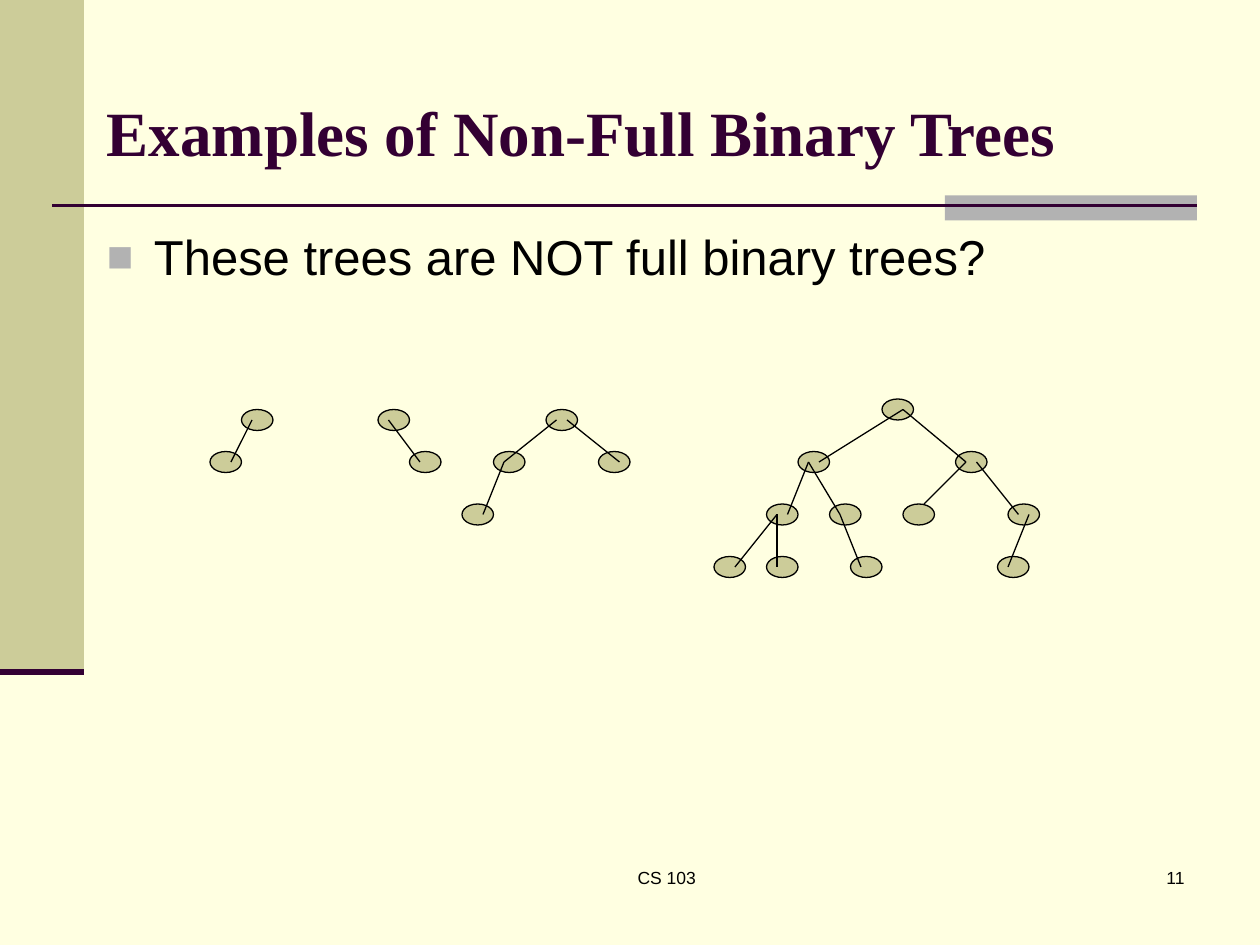
from typing import NamedTuple

from lxml.etree import SubElement
from pptx import Presentation
from pptx.dml.color import RGBColor
from pptx.enum.shapes import MSO_CONNECTOR as Link, MSO_SHAPE as Form
from pptx.enum.text import MSO_ANCHOR as Anchor, PP_ALIGN as Align
from pptx.oxml.ns import qn
from pptx.util import Cm, Pt

GRID = 2.54 / 12  # the layout sits on a grid of twelve steps to the inch
CREAM, KHAKI, GREY = "FFFFE1", "CCCC99", "B2B2B2"
PLUM, BLACK = "330033", "000000"


class Node(NamedTuple):
    x: float
    y: float


class Edge(NamedTuple):
    x1: float
    y1: float
    x2: float
    y2: float


class Tree(NamedTuple):
    nodes: list[Node]
    edges: list[Edge]


TREES = [
    Tree([Node(23, 39), Node(20, 43)], [Edge(24, 40, 22, 44)]),
    Tree([Node(36, 39), Node(39, 43)], [Edge(37, 40, 40, 44)]),
    Tree(
        [Node(52, 39), Node(47, 43), Node(57, 43), Node(44, 48)],
        [Edge(53, 40, 48, 44), Edge(48, 44, 46, 49), Edge(54, 40, 59, 44)],
    ),
    Tree(
        [Node(84, 38), Node(76, 43), Node(91, 43),
         Node(73, 48), Node(79, 48), Node(86, 48), Node(96, 48),
         Node(68, 53), Node(73, 53), Node(81, 53), Node(95, 53)],
        [Edge(86, 39, 78, 44), Edge(86, 39, 92, 44),
         Edge(77, 44, 75, 49), Edge(77, 44, 80, 49),
         Edge(92, 44, 88, 48), Edge(93, 44, 97, 49),
         Edge(74, 49, 70, 54), Edge(74, 49, 74, 54),
         Edge(80, 49, 82, 54), Edge(98, 49, 96, 54)],
    ),
]


def grid(*steps: float) -> list[Cm]:
    return [Cm(step * GRID) for step in steps]


def paint(part, color: str) -> None:
    """Give a fill or a line one solid colour."""
    part.solid()
    part.fore_color.rgb = RGBColor.from_string(color)


def add_form(slide, form, box: tuple, fill: str, line: str | None = None):
    shape = slide.shapes.add_shape(form, *grid(*box))
    shape.shadow.inherit = False
    paint(shape.fill, fill)
    if line:
        paint(shape.line.fill, line)
        shape.line.width = Pt(0.75)
    else:
        shape.line.fill.background()
    return shape


def add_line(slide, edge: Edge, color: str = BLACK, width: float = 0.75):
    line = slide.shapes.add_connector(Link.STRAIGHT, *grid(*edge))
    paint(line.line.fill, color)
    line.line.width = Pt(width)
    SubElement(line._element.spPr, qn("a:effectLst"))
    return line


def add_text(slide, text: str, box: tuple, *, size: float, font: str = "Arial",
             color: str = BLACK, bold: bool = False, align=Align.LEFT,
             anchor=Anchor.TOP, before: float = 0):
    frame = slide.shapes.add_textbox(*grid(*box)).text_frame
    frame.word_wrap = True
    frame.vertical_anchor = anchor
    para = frame.paragraphs[0]
    para.alignment = align
    para.space_before = Pt(before)
    run = para.add_run()
    run.text = text
    run.font.name, run.font.size, run.font.bold = font, Pt(size), bold
    paint(run.font.fill, color)
    return para


def add_bullet(para, mark: str, color: str, percent: int, indent: Cm) -> None:
    props = para._p.get_or_add_pPr()
    props.set("marL", str(indent))
    props.set("indent", str(-indent))
    tint = SubElement(props, qn("a:buClr"))
    SubElement(tint, qn("a:srgbClr"), val=color)
    SubElement(props, qn("a:buSzPct"), val=str(percent * 1000))
    SubElement(props, qn("a:buFont"), typeface="Arial")
    SubElement(props, qn("a:buChar"), char=mark)


def add_tree(slide, tree: Tree) -> None:
    for node in tree.nodes:
        add_form(slide, Form.OVAL, (*node, 3, 2), KHAKI, BLACK)
    for edge in tree.edges:
        add_line(slide, edge)


def main() -> None:
    deck = Presentation()
    deck.slide_width, deck.slide_height = Cm(25.4), Cm(19.05)
    slide = deck.slides.add_slide(deck.slide_layouts[6])
    paint(slide.background.fill, CREAM)

    # Side bar and title rule
    add_form(slide, Form.RECTANGLE, (0, 0, 8, 64), KHAKI)
    add_form(slide, Form.RECTANGLE, (90, 18.6, 24, 2.4), GREY)
    add_line(slide, Edge(5, 19.6, 114, 19.6), PLUM, 1.5)
    add_line(slide, Edge(0, 64, 8, 64), PLUM, 3.5)

    # Footer
    add_text(slide, "CS 103", (44, 82, 39, 6), size=10, align=Align.CENTER)
    add_text(slide, "11", (89, 82, 25, 6), size=10, align=Align.RIGHT)

    # Title and body
    add_text(slide, "Examples of Non-Full Binary Trees", (9, 8, 102, 9), size=36,
             font="Times New Roman", color=PLUM, bold=True, anchor=Anchor.MIDDLE)
    body = add_text(slide, "These trees are NOT full binary trees?",
                    (9, 21, 102, 59), size=28, before=7)
    add_bullet(body, "■", GREY, 90, Cm(0.95))

    # Trees
    for tree in TREES:
        add_tree(slide, tree)

    deck.save("out.pptx")


if __name__ == "__main__":
    main()
